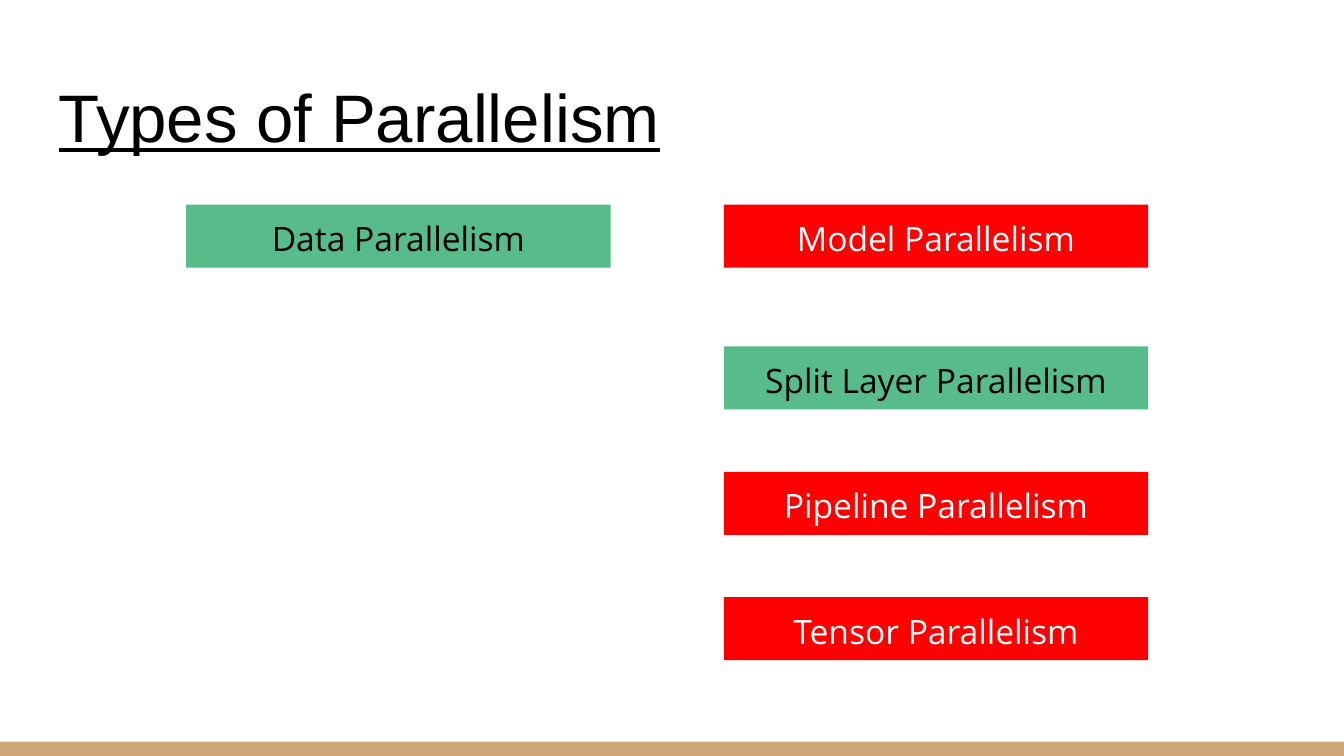
from pptx import Presentation
from pptx.dml.color import RGBColor as Rgb
from pptx.enum.shapes import MSO_SHAPE as Shape
from pptx.enum.text import MSO_ANCHOR as Anchor, MSO_AUTO_SIZE as Auto, PP_ALIGN as Align
from pptx.util import Cm, Pt

WIDE, HIGH = 25.4, 14.29
INSET = 0.25
COLORS = {
    "black": "000000",
    "white": "FFFFFF",
    "green": "57BB8A",
    "red": "FF0000",
    "tan": "CCA677",
}
INK = {"green": "black", "red": "white"}


def color(name):
    return Rgb.from_string(COLORS[name])


def set_frame(frame, anchor):
    frame.margin_left = frame.margin_right = Cm(INSET)
    frame.margin_top = frame.margin_bottom = Cm(INSET)
    frame.vertical_anchor = anchor
    frame.word_wrap = True
    frame.auto_size = Auto.NONE


def add_run(para, text, face, size, ink):
    run = para.add_run()
    run.text = text
    run.font.name = face
    run.font.size = Pt(size)
    run.font.color.rgb = color(ink)
    return run


def add_block(slide, box, fill):
    block = slide.shapes.add_shape(Shape.RECTANGLE, *map(Cm, box))
    block.shadow.inherit = False
    block.fill.solid()
    block.fill.fore_color.rgb = color(fill)
    block.line.fill.background()
    return block


def add_label(slide, box, text, fill):
    frame = add_block(slide, box, fill).text_frame
    set_frame(frame, Anchor.TOP)
    para = frame.paragraphs[0]
    para.alignment = Align.CENTER
    add_run(para, text, "Open Sans", 18, INK[fill])


def add_title(slide, box, text):
    title = slide.shapes.title
    title.left, title.top, title.width, title.height = map(Cm, box)
    set_frame(title.text_frame, Anchor.BOTTOM)
    para = title.text_frame.paragraphs[0]
    para.alignment = Align.LEFT
    add_run(para, text, "Arial", 36, "black").font.underline = True


def add_heads(slide, box, gap, heads):
    left, top, width, height = box
    wide = (width - gap * (len(heads) - 1)) / len(heads)
    for col, (text, fill) in enumerate(heads):
        add_label(slide, (left + col * (wide + gap), top, wide, height), text, fill)


def add_kinds(slide, box, high, kinds):
    left, top, width, height = box
    step = (height - high) / (len(kinds) - 1)
    for row, (text, fill) in enumerate(kinds):
        add_label(slide, (left, top + row * step, width, high), text, fill)


def main():
    deck = Presentation()
    deck.slide_width, deck.slide_height = Cm(WIDE), Cm(HIGH)
    slide = deck.slides.add_slide(deck.slide_layouts[5])
    add_block(slide, (0, HIGH - 0.27, WIDE, 0.27), "tan")
    add_title(slide, (0.86, 0.89, 23.67, 2.31), "Types of Parallelism")
    add_heads(slide, (3.52, 3.87, 18.18, 1.19), 2.14, [
        ("Data Parallelism", "green"),
        ("Model Parallelism", "red"),
    ])
    add_kinds(slide, (13.68, 6.55, 8.02, 5.93), 1.19, [
        ("Split Layer Parallelism", "green"),
        ("Pipeline Parallelism", "red"),
        ("Tensor Parallelism", "red"),
    ])
    deck.save("out.pptx")


if __name__ == "__main__":
    main()
